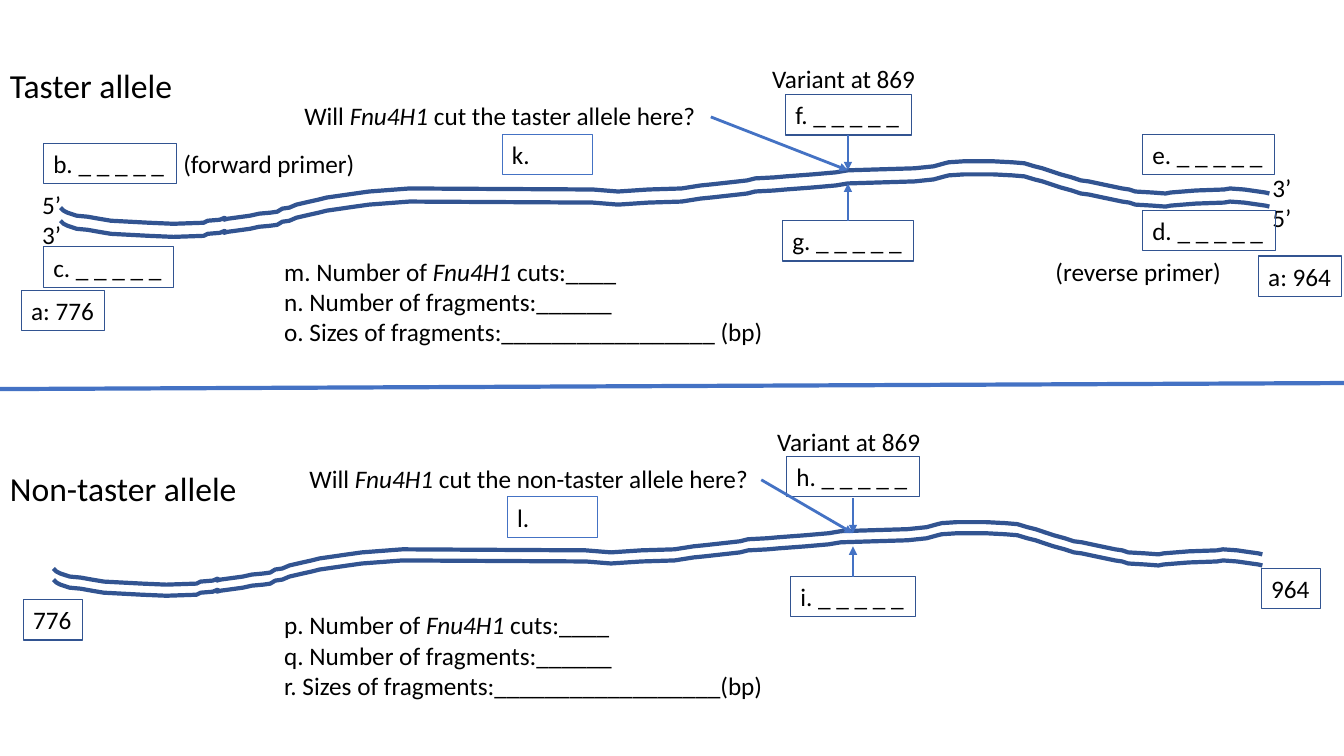
from dataclasses import dataclass

from lxml.etree import SubElement
from pptx import Presentation
from pptx.dml.color import RGBColor
from pptx.enum.shapes import MSO_CONNECTOR, MSO_SHAPE
from pptx.enum.text import MSO_AUTO_SIZE, PP_ALIGN
from pptx.oxml.ns import qn
from pptx.util import Inches, Pt


@dataclass(frozen=True)
class Theme:
    """Colours, type sizes and line widths of the slide."""
    font: str = "Calibri"
    ink: RGBColor = RGBColor(0x00, 0x00, 0x00)
    strand: RGBColor = RGBColor(0x32, 0x54, 0x91)
    accent: RGBColor = RGBColor(0x44, 0x72, 0xC4)
    body: int = 18
    heading: int = 24
    thin: float = 0.75
    arrow: int = 2
    thick: int = 3


ENZYME = "Fnu4H1"
BLANK = " _" * 5
ROW = 0.4

# Shape shared by all DNA strands
STRAND = [
    (0.6, 2.19), (0.63, 2.22), (0.67, 2.24), (0.76, 2.27), (0.87, 2.28),
    (0.98, 2.3), (1.1, 2.32), (1.48, 2.34), (1.72, 2.35), (2.02, 2.34),
    (2.06, 2.32), (2.18, 2.31), (2.23, 2.29), (2.22, 2.31), (2.26, 2.3),
    (2.48, 2.27), (2.57, 2.25), (2.68, 2.24), (2.75, 2.23), (2.8, 2.2),
    (2.87, 2.19), (2.94, 2.16), (3.07, 2.13), (3.16, 2.11), (3.24, 2.09),
    (3.38, 2.07), (3.52, 2.05), (3.66, 2.03), (4.06, 2.0), (5.88, 2.01),
    (6.13, 2.03), (6.43, 2.01), (6.76, 2.0), (6.95, 1.97), (7.05, 1.96),
    (7.32, 1.93), (7.41, 1.92), (7.49, 1.9), (7.68, 1.89), (7.79, 1.88),
    (8.06, 1.86), (8.29, 1.84), (8.41, 1.82), (8.73, 1.81), (9.07, 1.8),
    (9.26, 1.78), (9.37, 1.75), (9.41, 1.74), (9.56, 1.73), (9.85, 1.73),
    (10.04, 1.74), (10.16, 1.75), (10.26, 1.78), (10.34, 1.8), (10.43, 1.83),
    (10.52, 1.86), (10.63, 1.89), (10.72, 1.92), (10.8, 1.93), (10.94, 1.96),
    (11.13, 2.0), (11.2, 2.01), (11.26, 2.03), (11.43, 2.04), (11.56, 2.05),
    (11.61, 2.04), (11.86, 2.02), (12.14, 2.01), (12.2, 2.0), (12.34, 2.01),
    (12.48, 2.03), (12.55, 2.04), (12.59, 2.05),
]


class AlleleSlide:
    """Draws styled elements on one slide; all positions are in inches."""

    def __init__(self, slide, theme):
        """Keep the slide and its theme."""
        self.slide = slide
        self.theme = theme

    def fill_text(self, shape, lines, size, wrap=False):
        """Write lines into a shape, with the enzyme name in italics."""
        frame = shape.text_frame
        frame.word_wrap = wrap
        frame.auto_size = MSO_AUTO_SIZE.SHAPE_TO_FIT_TEXT
        for number, line in enumerate(lines):
            paragraph = frame.add_paragraph() if number else frame.paragraphs[0]
            paragraph.alignment = PP_ALIGN.LEFT
            for part in filter(None, line.partition(ENZYME)):
                run = paragraph.add_run()
                run.text = part
                run.font.name = self.theme.font
                run.font.size = Pt(size)
                run.font.color.rgb = self.theme.ink
                run.font.italic = part == ENZYME

    def label(self, left, top, width, height, *lines, size=None):
        """Add plain text."""
        shape = self.slide.shapes.add_textbox(
            Inches(left), Inches(top), Inches(width), Inches(height))
        self.fill_text(shape, lines, size or self.theme.body)

    def box(self, left, top, width, text, color=None, wrap=False):
        """Add a thinly outlined box with one line of text."""
        shape = self.slide.shapes.add_shape(
            MSO_SHAPE.RECTANGLE,
            Inches(left), Inches(top), Inches(width), Inches(ROW))
        shape.shadow.inherit = False
        shape.fill.background()
        shape.line.color.rgb = color or self.theme.strand
        shape.line.width = Pt(self.theme.thin)
        self.fill_text(shape, [text], self.theme.body, wrap)

    def line(self, start, end, width, arrow=False):
        """Add a straight line, with an arrowhead at its end if asked."""
        connector = self.slide.shapes.add_connector(
            MSO_CONNECTOR.STRAIGHT, *map(Inches, (*start, *end)))
        connector.line.color.rgb = self.theme.accent
        connector.line.width = Pt(width)
        properties = connector._element.spPr
        if arrow:
            SubElement(properties.find(qn("a:ln")), qn("a:tailEnd"), type="triangle")
        SubElement(properties, qn("a:effectLst"))

    def strand(self, shift_x, shift_y):
        """Add one DNA strand, shifted from the base curve."""
        points = [(Inches(x + shift_x), Inches(y + shift_y)) for x, y in STRAND]
        builder = self.slide.shapes.build_freeform(*points[0], scale=1.0)
        builder.add_line_segments(points[1:], close=False)
        shape = builder.convert_to_shape()
        shape.shadow.inherit = False
        shape.fill.background()
        shape.line.color.rgb = self.theme.strand
        shape.line.width = Pt(self.theme.thick)

    def variant(self, site, upper, lower, question, answer):
        """Add the variant site: two base boxes, the question and arrows.

        upper and lower are (left, top, width, text); question is
        (width, text, arrow start).
        """
        x, y = site
        question_width, question_text, arrow_start = question
        lower_top = lower[1]
        self.label(x - 0.85, y - 1.11, 1.64, ROW, "Variant at 869")
        self.box(*upper)
        self.box(*lower)
        self.label(x - 5.49, y - 0.74, question_width, ROW, question_text)
        self.box(x - 3.43, y - 0.36, 0.9, answer, self.theme.accent, wrap=True)
        for start, end in [((x, y - 0.35), site),
                           ((x, lower_top), (x, y + 0.13)),
                           (arrow_start, site)]:
            self.line(start, end, self.theme.arrow, arrow=True)

    def summary(self, top, width, letters, size_blank):
        """Add the three lines to fill in about the fragments."""
        first, second, third = letters
        self.label(2.72, top, width, 1.01,
                   f"{first}. Number of {ENZYME} cuts:____",
                   f"{second}. Number of fragments:______",
                   f"{third}. Sizes of fragments:{size_blank}(bp)")


def draw_taster(page):
    """Draw the taster allele in the upper half."""
    page.label(0, 0.59, 1.83, 0.5, "Taster allele", size=page.theme.heading)
    for shift_y in (0, -0.13):
        page.strand(0, shift_y)
    page.label(0.32, 1.83, 0.39, 0.71, "5’", "3’")
    page.label(12.52, 1.66, 0.39, 0.71, "3’", "5’")
    for left, top, width, text in [
            (0.21, 2.88, 0.83, "a: 776"), (12.48, 2.54, 0.83, "a: 964"),
            (0.43, 1.42, 1.32, "b." + BLANK), (0.43, 2.45, 1.29, "c." + BLANK),
            (11.33, 2.09, 1.32, "d." + BLANK), (11.33, 1.33, 1.31, "e." + BLANK)]:
        page.box(left, top, width, text)
    page.label(1.72, 1.42, 1.92, ROW, "(forward primer)")
    page.label(10.37, 2.49, 1.86, ROW, "(reverse primer)")
    page.variant((8.41, 1.69),
                 (7.79, 0.94, 1.25, "f." + BLANK), (7.76, 2.19, 1.3, "g." + BLANK),
                 (4.14, f"Will {ENZYME} cut the taster allele here?", (7.05, 1.16)),
                 "k.")
    page.summary(2.49, 5.01, "mno", "_" * 17 + " ")


def draw_non_taster(page):
    """Draw the non-taster allele in the lower half."""
    page.label(0, 4.59, 2.47, 0.5, "Non-taster allele", size=page.theme.heading)
    for shift_y in (3.45, 3.56):
        page.strand(-0.07, shift_y)
    page.box(0.23, 5.95, 0.59, "776")
    page.box(12.51, 5.64, 0.59, "964")
    page.variant((8.46, 5.29),
                 (7.8, 4.53, 1.32, "h." + BLANK), (7.84, 5.72, 1.24, "i." + BLANK),
                 (4.59, f"Will {ENZYME} cut the non-taster allele here?", (7.55, 4.76)),
                 "l.")
    page.summary(6, 5.05, "pqr", "_" * 18)


def main():
    """Build and save the slide."""
    presentation = Presentation()
    presentation.slide_width = Inches(13.33)
    presentation.slide_height = Inches(7.5)
    slide = presentation.slides.add_slide(presentation.slide_layouts[6])
    page = AlleleSlide(slide, Theme())
    draw_taster(page)
    draw_non_taster(page)
    page.line((13.33, 3.8), (0, 3.86), page.theme.thick)
    presentation.save("out.pptx")


main()
